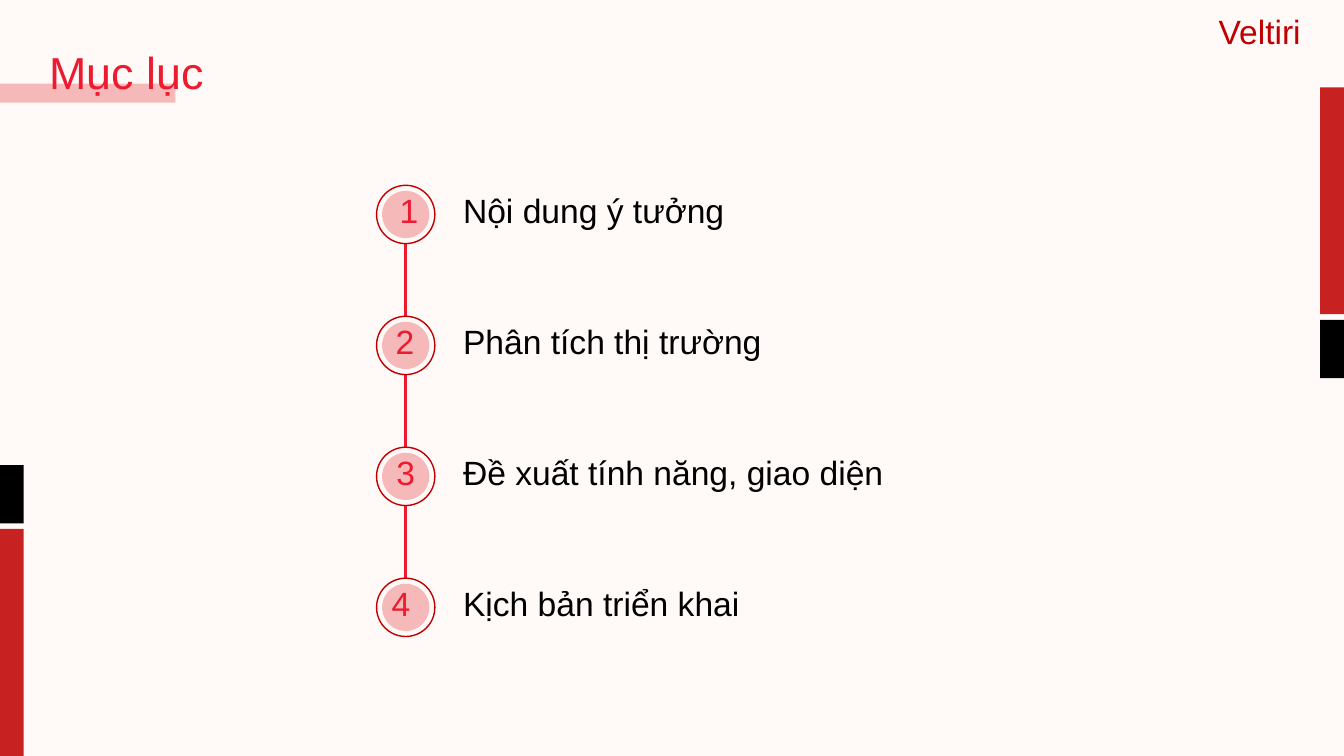
from lxml.etree import SubElement
from pptx import Presentation
from pptx.dml.color import RGBColor
from pptx.enum.shapes import MSO_CONNECTOR as Connector, MSO_SHAPE as Shape
from pptx.enum.text import MSO_AUTO_SIZE as AutoSize
from pptx.oxml.ns import qn
from pptx.util import Cm, Pt

COLORS = {
    "background": "FFFAF7",
    "accent": "ED1B2F",
    "pink": "F5B9B9",
    "bar": "C82121",
    "dark_red": "C00000",
    "black": "000000",
}
SLIDE_WIDTH, SLIDE_HEIGHT = 33.87, 19.05
BAR_WIDTH, RED_BAR, BLACK_BAR, BAR_GAP = 0.6, 5.72, 1.47, 0.14
RING, DISC, PITCH = 1.47, 1.19, 3.3
# Each entry: title and the left offset of its number within the ring
ENTRIES = [
    ("Nội dung ý tưởng", 0.33),
    ("Phân tích thị trường", 0.23),
    ("Đề xuất tính năng, giao diện", 0.25),
    ("Kịch bản triển khai", 0.13),
]


def color(name):
    return RGBColor.from_string(COLORS[name])


def add_filled(slide, kind, left, top, width, height, fill, outline=None):
    shape = slide.shapes.add_shape(kind, Cm(left), Cm(top), Cm(width), Cm(height))
    shape.shadow.inherit = False
    shape.fill.solid()
    shape.fill.fore_color.rgb = color(fill)
    if outline:
        shape.line.color.rgb = color(outline)
        shape.line.width = Pt(1)
    else:
        shape.line.fill.background()


def add_text(slide, text, left, top, width, height, font_color, size=24):
    box = slide.shapes.add_textbox(Cm(left), Cm(top), Cm(width), Cm(height))
    frame = box.text_frame
    frame.word_wrap = True
    frame.auto_size = AutoSize.SHAPE_TO_FIT_TEXT
    paragraph = frame.paragraphs[0]
    paragraph.text = text
    for name, value in {"name": "Arial", "size": Pt(size)}.items():
        setattr(paragraph.font, name, value)
    paragraph.font.color.rgb = color(font_color)


def add_header(slide, left, top, width):
    add_filled(slide, Shape.RECTANGLE, left, top + 2.11, 4.42, 0.48, "pink")
    add_text(slide, "Mục lục", left + 0.99, top + 0.99, 28.14, 1.63, "accent", 32)
    add_text(slide, "Veltiri", left + width - 3.41, top + 0.15, 3.41, 1.27, "dark_red")


def add_contents(slide, left, top, width):
    """Numbered rings on a vertical line, each with its title on the right."""
    center = left + RING / 2
    first = top + RING / 2
    last = first + PITCH * (len(ENTRIES) - 1)
    spine = slide.shapes.add_connector(
        Connector.STRAIGHT, Cm(center), Cm(first), Cm(center), Cm(last))
    spine.line.color.rgb = color("accent")
    spine.line.width = Pt(2.25)
    SubElement(spine._element.spPr, qn("a:effectLst"))

    inset = (RING - DISC) / 2
    for index, (title, number_offset) in enumerate(ENTRIES):
        row = top + index * PITCH
        add_filled(slide, Shape.OVAL, left, row, RING, RING, "background", "dark_red")
        add_filled(slide, Shape.OVAL, left + inset, row + inset, DISC, DISC, "pink")
        add_text(slide, str(index + 1), left + number_offset, row, 1.14, 1.27, "accent")
        add_text(slide, title, left + 1.93, row, width - 1.93, 1.27, "black")


def add_side_bars(slide, left, top, bars):
    """Stack (height, fill) bars downwards with an equal gap."""
    for height, fill in bars:
        add_filled(slide, Shape.RECTANGLE, left, top, BAR_WIDTH, height, fill)
        top += height + BAR_GAP


def main():
    presentation = Presentation()
    presentation.slide_width = Cm(SLIDE_WIDTH)
    presentation.slide_height = Cm(SLIDE_HEIGHT)
    slide = presentation.slides.add_slide(presentation.slide_layouts[6])
    slide.background.fill.solid()
    slide.background.fill.fore_color.rgb = color("background")

    add_header(slide, 0, 0, SLIDE_WIDTH)
    add_contents(slide, 9.49, 4.67, 14.36)
    bars = [(RED_BAR, "bar"), (BLACK_BAR, "black")]
    stack_height = RED_BAR + BAR_GAP + BLACK_BAR
    add_side_bars(slide, 0, SLIDE_HEIGHT - stack_height, bars[::-1])
    add_side_bars(slide, SLIDE_WIDTH - BAR_WIDTH, 2.2, bars)
    presentation.save("out.pptx")


if __name__ == "__main__":
    main()
